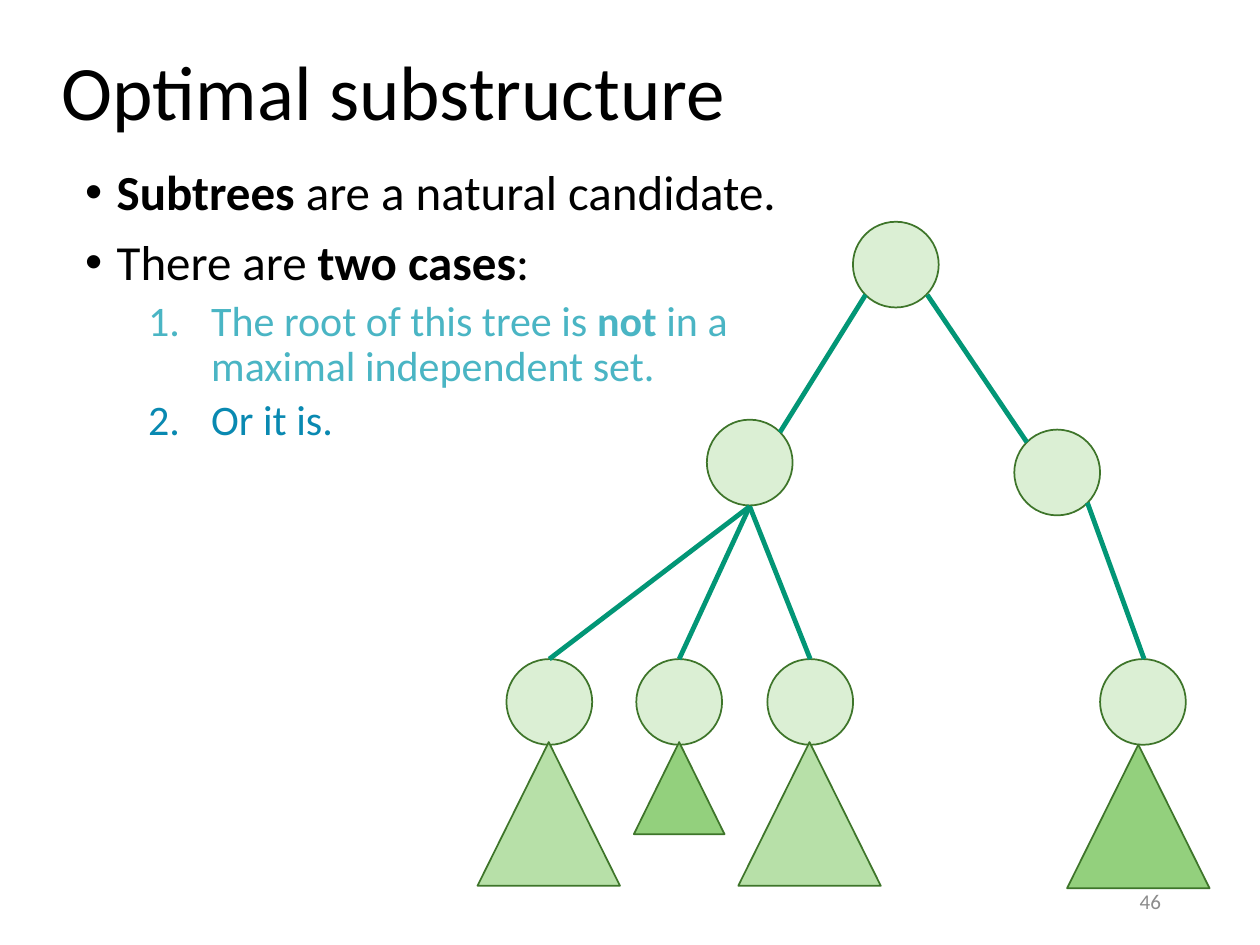
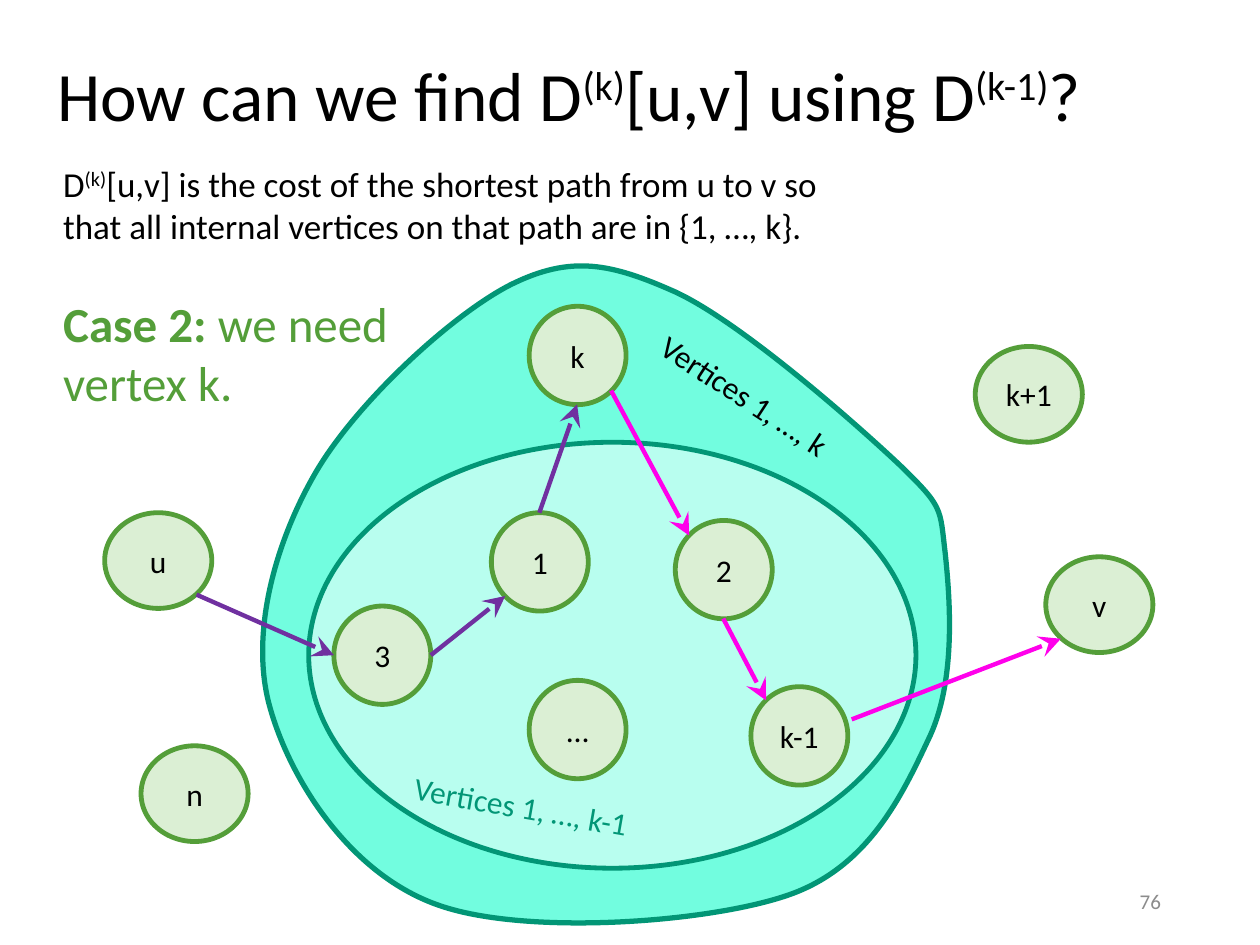
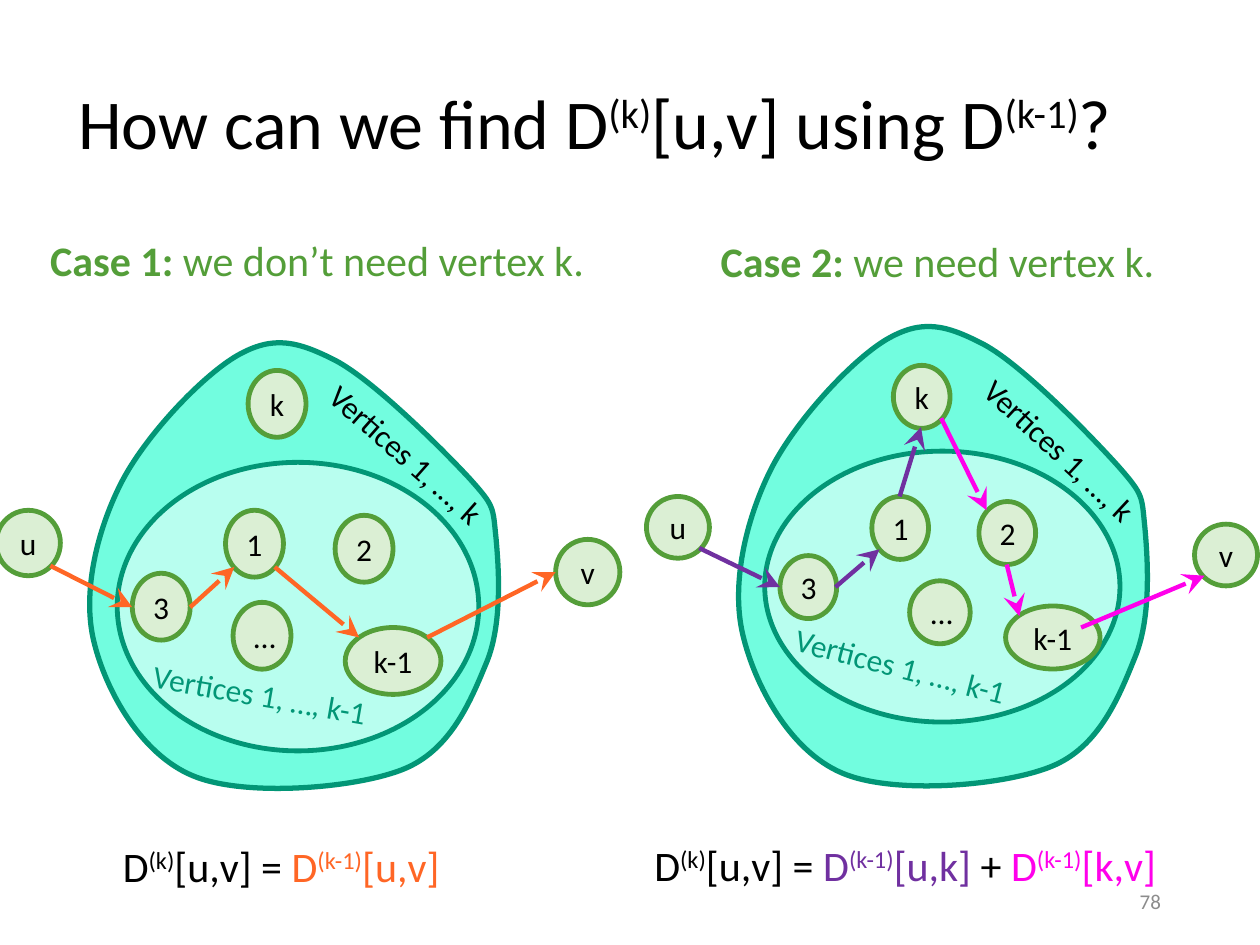
from lxml import etree
from pptx import Presentation
from pptx.dml.color import RGBColor
from pptx.enum.shapes import MSO_CONNECTOR, MSO_SHAPE
from pptx.enum.text import MSO_ANCHOR, MSO_AUTO_SIZE, PP_ALIGN
from pptx.oxml.ns import qn
from pptx.util import Pt

LEFT, CENTER, RIGHT = PP_ALIGN.LEFT, PP_ALIGN.CENTER, PP_ALIGN.RIGHT
MIDDLE = MSO_ANCHOR.MIDDLE
FIT_SHAPE, NO_FIT = MSO_AUTO_SIZE.SHAPE_TO_FIT_TEXT, MSO_AUTO_SIZE.NONE
STRAIGHT = MSO_CONNECTOR.STRAIGHT
ELLIPSE, TRIANGLE = MSO_SHAPE.OVAL, MSO_SHAPE.ISOSCELES_TRIANGLE
TITLE_ONLY = 5
FONT = "Calibri"
COLORS = {
    "black": "000000",
    "grey": "8C8C8C",
    "teal": "029676",
    "aqua": "72FDDF",
    "pale aqua": "B8FEEF",
    "green": "549E39",
    "dark green": "3E752A",
    "pale green": "DBEFD4",
    "light green": "B7E0A8",
    "mid green": "93D07D",
    "cyan": "4AB5C4",
    "blue": "0989B1",
    "purple": "7030A0",
    "magenta": "FF00EB",
    "orange": "FF6625",
}
PALETTE = {name: RGBColor.from_string(value) for name, value in COLORS.items()}

BLOB_START = (99.3, 43.7)
BLOB_CURVES = [
    ((100, 50.6), (100.9, 62.8), (97.1, 71.5)),
    ((93.2, 80.1), (88.3, 91.6), (76.2, 95.8)),
    ((64.3, 100), (37.7, 101.9), (25.3, 97.1)),
    ((12.6, 92.3), (4, 78), (1.1, 67)),
    ((-1.8, 56.1), (1.8, 42.3), (7.7, 31.6)),
    ((13.6, 20.9), (27.5, 7.5), (36.1, 2.9)),
    ((44.9, -1.7), (50.7, -0.4), (60.1, 4)),
    ((69.6, 8.6), (86.1, 23.8), (92.7, 30.3)),
    ((99.1, 36.8), (98.5, 36.8), BLOB_START),
]

QUESTION = [("How can we find D",), ("(k)", "super"), ("[u,v] using D",),
            ("(k-1)", "super"), ("?",)]

tree_circles = [(487.4, 126.7), (579.6, 245.5), (403.9, 239.8), (438.5, 376.6),
                (363.6, 376.6), (289.4, 376.6), (628.6, 376.6)]
tree_triangles = [
    ((609.8, 425.5, 81.4, 82.1), "mid green"),
    ((421.9, 424.1, 81.4, 82.1), "light green"),
    ((362.2, 424.1, 51.8, 52.6), "mid green"),
    ((272.9, 424.1, 81.4, 82.1), "light green"),
]
tree = {
    "shapes": [(ELLIPSE, (left, top, 49, 49), "pale green", "dark green", 1, "")
               for left, top in tree_circles]
    + [(TRIANGLE, box, fill, "dark green", 1, "") for box, fill in tree_triangles],
    "lines": {"teal": [
        (586.8, 252.7, 529.9, 168.5), (445.7, 247, 494.6, 168.5),
        (463, 376.6, 428.4, 289.4), (388.1, 376.6, 428.4, 289.4),
        (313.9, 376.6, 428.4, 289.4), (621.4, 287.3, 653.8, 376.6)]},
    "line_width": 2.75,
}

graphs = [
    {
        "blob": (149.8, 151.9, 393.1, 375.8),
        "inner": (176.4, 252.7, 347, 243.4),
        "nodes": {
            (55.4, 56.2): {"k-1": (429.1, 392.4), "2": (385.9, 297.4),
                           "…": (302.4, 388.8), "1": (280.8, 293),
                           "3": (190.8, 346.3), "k": (302.4, 175)},
            (61.2, 54.7): {"k+1": (557.3, 198), "u": (59.8, 293),
                           "v": (597.6, 318.2), "n": (80.6, 426.2)},
        },
        "lines": {
            "purple": [(112.3, 339.8, 190.8, 374.4), (246.2, 374.4, 288.7, 340.6),
                       (308.2, 293, 329.8, 231.1)],
            "magenta": [(486.7, 411.1, 606.2, 365), (413.3, 353.5, 437.8, 400.3),
                        (349.2, 223.2, 393.8, 306)],
        },
        "outer_label": ((352.8, 248.4, 257.76, 29.08), 33.2),
        "inner_label": ((228.24, 456.48, 257.76, 29.08), 9.9),
    },
    {
        "blob": (51.1, 195.8, 234, 254.9),
        "inner": (67, 264.2, 206.6, 164.9),
        "nodes": {
            (54.7, 38.2): {"k-1": (197.3, 358.6)},
            (33.1, 38.2): {"2": (191.5, 294.5), "…": (133.2, 344.2),
                           "1": (128.9, 291.6), "3": (75.6, 327.6),
                           "k": (141.8, 211.7)},
            (36.7, 37.4): {"u": (-2.2, 291.6), "v": (317.5, 308.2)},
        },
        "lines": {
            "orange": [(28.8, 323.3, 75.6, 347), (108.7, 347, 133.9, 324),
                       (157, 324, 205.2, 364.3), (244.1, 364.3, 317.5, 326.9)],
        },
        "outer_label": ((169.92, 256.32, 153.36, 19.44), 41.4),
        "inner_label": ((80.64, 383.76, 153.36, 19.44), 9.9),
    },
    {
        "blob": (421.9, 186.5, 234, 262.8),
        "inner": (437, 257.8, 203, 154.8),
        "nodes": {
            (54, 36): {"k-1": (574.6, 346.3)},
            (32.4, 36): {"2": (559.4, 286.6), "1": (498.2, 283.7),
                         "3": (445.7, 317.5), "k": (510.5, 208.8)},
            (34.6, 36): {"…": (519.8, 331.9)},
            (36, 35.3): {"u": (369.4, 283.7), "v": (682.6, 299.5)},
        },
        "lines": {
            "purple": [(399.6, 313.2, 445.7, 335.5), (477.4, 335.5, 502.6, 313.9),
                       (514.1, 283.7, 526.3, 244.1)],
            "magenta": [(617.8, 358.6, 688.3, 329), (575.3, 322.6, 582.5, 352.1),
                        (537.8, 239, 563.8, 291.6)],
        },
        "outer_label": ((542.88, 254.16, 153.36, 20.16), 43),
        "inner_label": ((447.12, 367.92, 150.48, 18.72), 14.5),
    },
]
for graph in graphs:
    graph["line_width"] = 2.5
    graph["shapes"] = [(ELLIPSE, graph["inner"], "pale aqua", "teal", 2.75, "")] + [
        (ELLIPSE, (*position, *size), "pale green", "green", 2.75, name)
        for size, nodes in graph["nodes"].items() for name, position in nodes.items()]

slides = [
    {
        "number": "46", "title": [("Optimal substructure",)], "title_size": 44,
        "title_box": (28.08, 26.4, 620.64, 56.88), "diagrams": [tree], "texts": [],
    },
    {
        "number": "76", "title": QUESTION, "title_size": 39.6,
        "title_box": (25.4, 7.2, 620.64, 98.64), "diagrams": graphs[:1],
        "texts": [
            ((29, 89.28, 465.12, 55.74), 20, "black", LEFT,
             [("D",), ("(k)", "super"),
              ("[u,v] is the cost of the shortest path from u to v so that all "
               "internal vertices on that path are in {1, …, k}.",)]),
            ((29, 164.16, 207.36, 75.13), 28, "green", LEFT,
             [("Case 2: ", "bold"), ("we need vertex k.",)]),
        ],
    },
    {
        "number": "78", "title": QUESTION, "title_size": 40,
        "title_box": (37.44, 20, 645.12, 104.4), "diagrams": graphs[1:],
        "texts": [
            ((13.5, 130.3, 335.5, 36.35), 24, "green", CENTER,
             [("Case 1: ", "bold"), ("we don’t need vertex k.",)]),
            ((360, 131, 351.4, 36.35), 24, "green", CENTER,
             [("Case 2: ", "bold"), ("we need vertex k.",)]),
            ((37.4, 476.6, 252, 36.35), 24, "black", CENTER,
             [("D",), ("(k)", "super"), ("[u,v] = ",), ("D", "orange"),
              ("(k-1)", "super", "orange"), ("[u,v] ", "orange")]),
            ((312.6, 475.9, 414.7, 36.35), 24, "black", CENTER,
             [("D",), ("(k)", "super"), ("[u,v] = ",), ("D", "purple"),
              ("(k-1)", "super", "purple"), ("[u,k] ", "purple"), ("+ ",),
              ("D", "magenta"), ("(k-1)", "super", "magenta"), ("[k,v] ", "magenta")]),
        ],
    },
]

BULLET = ("buChar", {"char": "•"}, 18, -18, 10, 28, "black")
CASE = ("buAutoNum", {"type": "arabicPeriod"}, 72, -36, 5, 24)
body = [
    (*BULLET, [("Subtrees", "bold"), (" are a natural candidate.",)]),
    (*BULLET, [("There are ",), ("two cases", "bold"), (":",)]),
    (*CASE, "cyan", [("The root of this tree is ",), ("not", "bold"),
                     (" in a maximal independent set.",)]),
    (*CASE, "blue", [("Or it is.",)]),
]


def write_runs(paragraph, runs, size, color="black", alignment=LEFT):
    paragraph.alignment = alignment
    paragraph.font.name = FONT
    paragraph.font.size = Pt(size)
    paragraph.font.color.rgb = PALETTE[color]
    for text, *styles in runs:
        run = paragraph.add_run()
        run.text = text
        for style in styles:
            if style == "bold":
                run.font.bold = True
            elif style == "super":
                run._r.get_or_add_rPr().set("baseline", "30000")
            else:
                run.font.color.rgb = PALETTE[style]


def add_text_box(shapes, box, runs, size, color="black", alignment=LEFT):
    text_box = shapes.add_textbox(*map(Pt, box))
    text_box.text_frame.word_wrap = True
    text_box.text_frame.auto_size = FIT_SHAPE
    write_runs(text_box.text_frame.paragraphs[0], runs, size, color, alignment)
    return text_box


presentation = Presentation()
presentation.slide_width, presentation.slide_height = Pt(720), Pt(540)

for content in slides:
    slide = presentation.slides.add_slide(presentation.slide_layouts[TITLE_ONLY])
    title = slide.shapes.title
    title.left, title.top, title.width, title.height = map(Pt, content["title_box"])
    title.text_frame.vertical_anchor = MIDDLE
    title.text_frame.auto_size = NO_FIT
    title_paragraph = title.text_frame.paragraphs[0]
    title_paragraph.line_spacing = 0.9
    write_runs(title_paragraph, content["title"], content["title_size"])

    for diagram in content["diagrams"]:
        shapes = slide.shapes
        if len(content["diagrams"]) > 1:
            shapes = slide.shapes.add_group_shape().shapes

        drawn = []
        if "blob" in diagram:
            left, top, width, height = diagram["blob"]
            start, *points = [
                (Pt(left + x * width / 100), Pt(top + y * height / 100))
                for x, y in [BLOB_START] + [point for curve in BLOB_CURVES for point in curve]]
            builder = shapes.build_freeform(*start)
            builder.add_line_segments(points[2::3], close=True)
            blob = builder.convert_to_shape()
            segments = list(blob._element.iter(qn("a:lnTo")))
            for segment, *controls in zip(segments, points[::3], points[1::3]):
                segment.tag = qn("a:cubicBezTo")
                for index, (x, y) in enumerate(controls):
                    segment.insert(index, etree.Element(
                        qn("a:pt"), x=str(x - blob.left), y=str(y - blob.top)))
            drawn.append((blob, "aqua", "teal", 3, ""))
        for kind, box, *look in diagram["shapes"]:
            drawn.append((shapes.add_shape(kind, *map(Pt, box)), *look))
        for shape, fill, outline, width, name in drawn:
            shape.shadow.inherit = False
            shape.fill.solid()
            shape.fill.fore_color.rgb = PALETTE[fill]
            shape.line.color.rgb = PALETTE[outline]
            shape.line.width = Pt(width)
            if name:
                shape.text_frame.word_wrap = True
                shape.text_frame.vertical_anchor = MIDDLE
                write_runs(shape.text_frame.paragraphs[0], [(name,)], 18,
                           alignment=CENTER)

        for color, ends in diagram["lines"].items():
            for line_ends in ends:
                connector = shapes.add_connector(STRAIGHT, *map(Pt, line_ends))
                connector.line.color.rgb = PALETTE[color]
                connector.line.width = Pt(diagram["line_width"])
                if "blob" in diagram:
                    etree.SubElement(connector.line._get_or_add_ln(), qn("a:tailEnd"),
                                     type="stealth", w="lg", len="lg")
                etree.SubElement(connector._element.spPr, qn("a:effectLst"))

        if "blob" in diagram:
            for key, text, color in (("outer_label", "Vertices 1, …, k", "black"),
                                     ("inner_label", "Vertices 1, …, k-1", "teal")):
                box, rotation = diagram[key]
                label = add_text_box(shapes, box, [(text,)], 18, color)
                label.rotation = rotation

    for box, size, color, alignment, runs in content["texts"]:
        add_text_box(slide.shapes, box, runs, size, color, alignment)

    number = add_text_box(slide.shapes, (508.5, 500.5, 162, 28.75),
                          [(content["number"],)], 12, "grey", RIGHT)
    number.text_frame.auto_size = NO_FIT
    number.text_frame.vertical_anchor = MIDDLE

body_box = presentation.slides[0].shapes.add_textbox(*map(Pt, (41.6, 92.4, 411, 196)))
body_frame = body_box.text_frame
body_frame.word_wrap = True
for index, (tag, attributes, margin, indent, before, size, color, runs) in enumerate(body):
    paragraph = body_frame.add_paragraph() if index else body_frame.paragraphs[0]
    properties = paragraph._p.get_or_add_pPr()
    properties.set("marL", str(Pt(margin)))
    properties.set("indent", str(Pt(indent)))
    etree.SubElement(properties, qn("a:buFont"), typeface="Arial" if tag == "buChar" else "+mj-lt")
    etree.SubElement(properties, qn("a:" + tag), attributes)
    paragraph.line_spacing = 0.9
    paragraph.space_before = Pt(before if index else 0)
    write_runs(paragraph, runs, size, color)

presentation.save("out.pptx")
